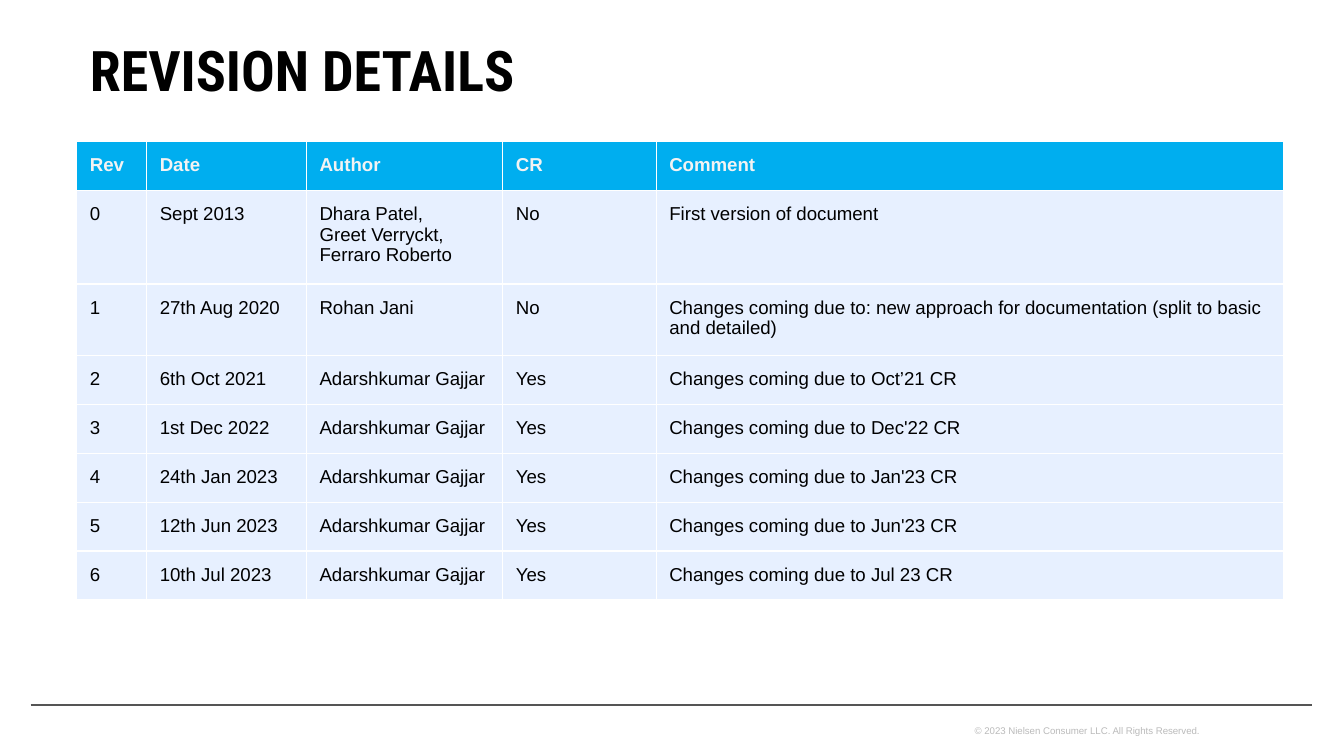
from lxml import etree
from pptx import Presentation
from pptx.dml.color import RGBColor
from pptx.enum.shapes import MSO_CONNECTOR
from pptx.enum.text import MSO_ANCHOR
from pptx.oxml.ns import qn
from pptx.util import Cm, Pt

STRAIGHT = MSO_CONNECTOR.STRAIGHT
TOP, BOTTOM = MSO_ANCHOR.TOP, MSO_ANCHOR.BOTTOM

COLORS = {
    "text": "000000",
    "header_text": "F3F3F3",
    "header_fill": "00AEEF",
    "row_fill": "E7F0FF",
    "border": "FFFFFF",
    "rule": "555555",
    "copyright": "BBBBBB",
}

COLUMN_WIDTHS = [1.32, 3.02, 3.71, 2.9, 11.86]
HEADER_HEIGHT, ROW_HEIGHT = 0.79, 0.89
CELL_MARGIN = Cm(0.25)

REVISIONS = [
    ("Rev", "Date", "Author", "CR", "Comment"),
    ("0", "Sept 2013", "Dhara Patel,\nGreet Verryckt,\nFerraro Roberto", "No",
     "First version of document"),
    ("1", "27th Aug 2020", "Rohan Jani", "No",
     "Changes coming due to: new approach for documentation "
     "(split to basic and detailed)"),
    ("2", "6th Oct 2021", "Adarshkumar Gajjar", "Yes", "Changes coming due to Oct’21 CR"),
    ("3", "1st Dec 2022", "Adarshkumar Gajjar", "Yes", "Changes coming due to Dec'22 CR"),
    ("4", "24th Jan 2023", "Adarshkumar Gajjar", "Yes", "Changes coming due to Jan'23 CR"),
    ("5", "12th Jun 2023", "Adarshkumar Gajjar", "Yes", "Changes coming due to Jun'23 CR"),
    ("6", "10th Jul 2023", "Adarshkumar Gajjar", "Yes", "Changes coming due to Jul 23 CR"),
]


def color(name):
    return RGBColor.from_string(COLORS[name])


def style_text(text_frame, size, color_name, bold=False, font_name="Arial"):
    for paragraph in text_frame.paragraphs:
        font = paragraph.font
        font.name, font.size, font.bold = font_name, Pt(size), bold
        font.color.rgb = color(color_name)


def add_text(slide, text, left, top, width, height, margins, anchor, **style):
    """Add a wrapped text box; margins are horizontal and vertical, in cm."""
    shape = slide.shapes.add_textbox(Cm(left), Cm(top), Cm(width), Cm(height))
    frame = shape.text_frame
    frame.word_wrap = True
    frame.vertical_anchor = anchor
    frame.margin_left = frame.margin_right = Cm(margins[0])
    frame.margin_top = frame.margin_bottom = Cm(margins[1])
    frame.text = text
    style_text(frame, **style)


def add_footer_rule(slide):
    line = slide.shapes.add_connector(STRAIGHT, Cm(0.58), Cm(13.33), Cm(24.79), Cm(13.33))
    line.line.color.rgb = color("rule")
    line.line.width = Pt(1)
    etree.SubElement(line._element.spPr, qn("a:effectLst"))


def set_borders(cell):
    properties = cell._tc.get_or_add_tcPr()
    for side in ("lnL", "lnR", "lnT", "lnB"):
        border = etree.SubElement(properties, qn(f"a:{side}"), w=str(Pt(0.75)))
        fill = etree.SubElement(border, qn("a:solidFill"))
        etree.SubElement(fill, qn("a:srgbClr"), val=COLORS["border"])


def fill_cell(cell, text, is_header):
    cell.margin_left = cell.margin_right = CELL_MARGIN
    cell.margin_top = cell.margin_bottom = CELL_MARGIN
    set_borders(cell)
    cell.fill.solid()
    cell.fill.fore_color.rgb = color("header_fill" if is_header else "row_fill")
    cell.text = text
    style_text(cell.text_frame, 10, "header_text" if is_header else "text", is_header)


def add_revision_table(slide):
    height = HEADER_HEIGHT + ROW_HEIGHT * (len(REVISIONS) - 1)
    table = slide.shapes.add_table(
        len(REVISIONS), len(COLUMN_WIDTHS),
        Cm(1.45), Cm(2.67), Cm(sum(COLUMN_WIDTHS)), Cm(height)).table
    for column, width in zip(table.columns, COLUMN_WIDTHS):
        column.width = Cm(width)
    for index, (row, texts) in enumerate(zip(table.rows, REVISIONS)):
        is_header = index == 0
        row.height = Cm(HEADER_HEIGHT if is_header else ROW_HEIGHT)
        for cell, text in zip(row.cells, texts):
            fill_cell(cell, text, is_header)


def main():
    presentation = Presentation()
    presentation.slide_width, presentation.slide_height = Cm(25.4), Cm(14.29)
    slide = presentation.slides.add_slide(presentation.slide_layouts[6])

    add_text(slide, "© 2023 Nielsen Consumer LLC. All Rights Reserved.",
             18.42, 13.59, 5.41, 0.48, (0, 0.13), TOP,
             size=5.2, color_name="copyright")
    add_footer_rule(slide)
    add_text(slide, "REVISION DETAILS", 1.45, 0.76, 22.68, 1.19, (0.25, 0), BOTTOM,
             size=30, color_name="text", bold=True, font_name="Roboto Condensed")
    add_revision_table(slide)
    presentation.save("out.pptx")


if __name__ == "__main__":
    main()
